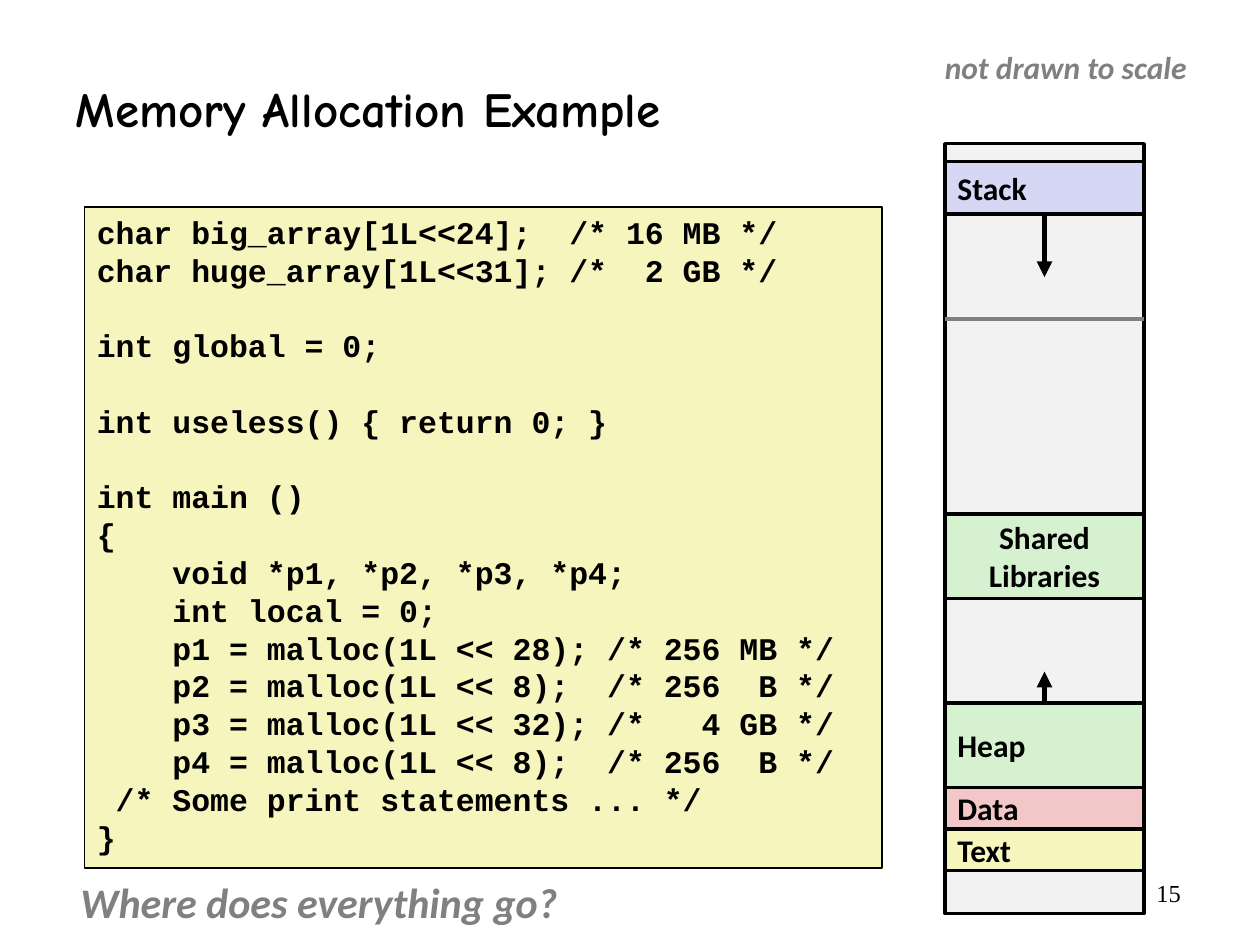
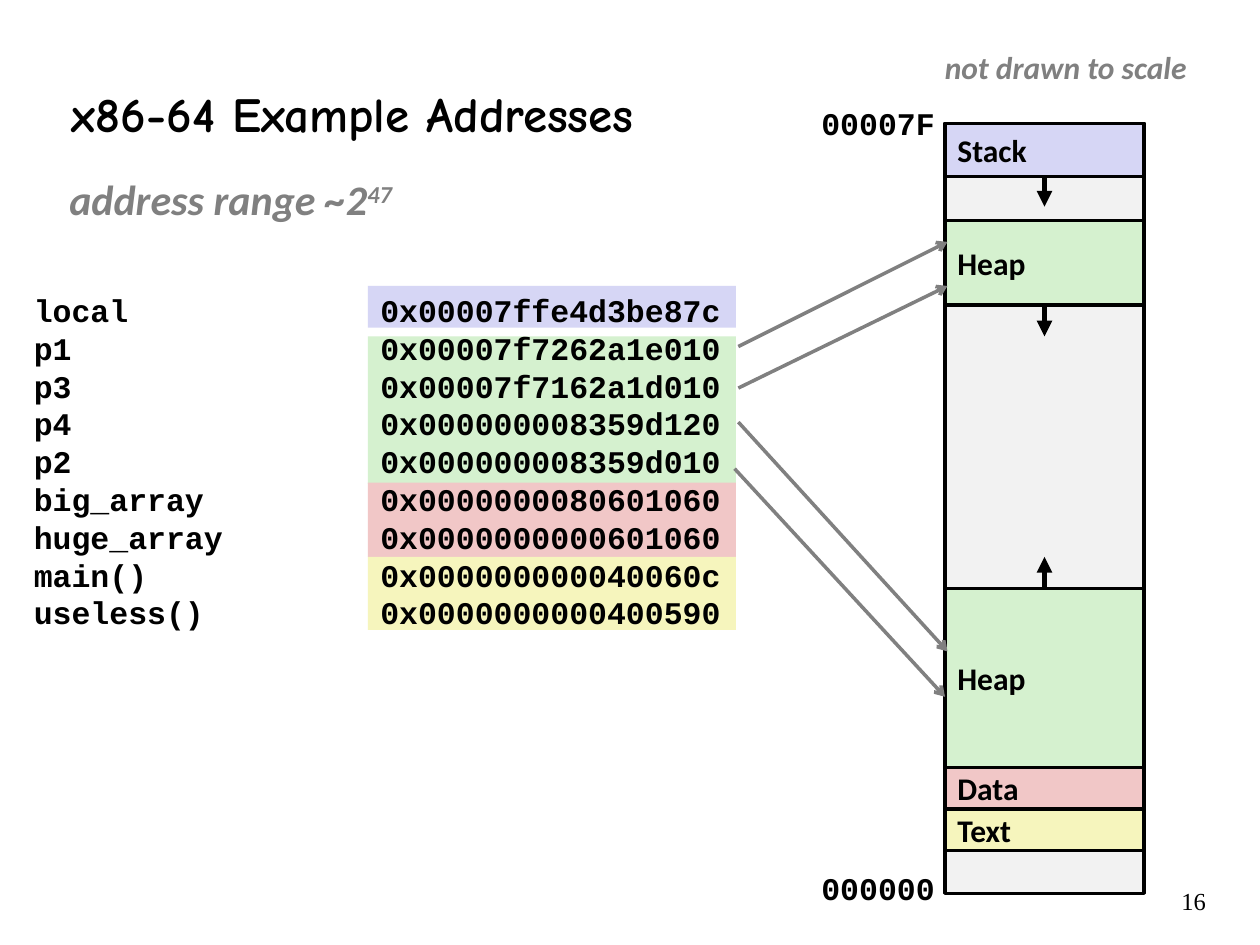
from lxml import etree
from pptx import Presentation
from pptx.dml.color import RGBColor
from pptx.enum.shapes import MSO_CONNECTOR, MSO_SHAPE
from pptx.enum.text import MSO_ANCHOR, MSO_AUTO_SIZE, PP_ALIGN
from pptx.oxml.ns import qn
from pptx.util import Inches, Pt

# Shared colours
BLACK = RGBColor(0x00, 0x00, 0x00)
GRAY = RGBColor(0x80, 0x80, 0x80)
EMPTY = RGBColor(0xF2, 0xF2, 0xF2)
STACK = RGBColor(0xD6, 0xD6, 0xF5)
HEAP = RGBColor(0xD5, 0xF1, 0xCF)
DATA = RGBColor(0xF1, 0xC7, 0xC7)
TEXT = RGBColor(0xF6, 0xF5, 0xBD)

# Shared measures, in inches
MAP_LEFT, MAP_WIDTH, MAP_HEIGHT = 7.5, 1.58, 6.11
MAP_CENTER = MAP_LEFT + MAP_WIDTH / 2
TEXT_OFFSET, DATA_OFFSET, ROW_HEIGHT = 5.44, 5.11, 0.33
CODE_PITCH = Pt(21.6)

CODE = """char big_array[1L<<24];  /* 16 MB */
char huge_array[1L<<31]; /*  2 GB */

int global = 0;

int useless() { return 0; }

int main ()
{
    void *p1, *p2, *p3, *p4;
    int local = 0;
    p1 = malloc(1L << 28); /* 256 MB */
    p2 = malloc(1L << 8);  /* 256  B */
    p3 = malloc(1L << 32); /*   4 GB */
    p4 = malloc(1L << 8);  /* 256  B */
 /* Some print statements ... */
}"""

ADDRESSES = [
    ("local", "0x00007ffe4d3be87c"),
    ("p1", "0x00007f7262a1e010"),
    ("p3", "0x00007f7162a1d010"),
    ("p4", "0x000000008359d120"),
    ("p2", "0x000000008359d010"),
    ("big_array", "0x0000000080601060"),
    ("huge_array", "0x0000000000601060"),
    ("main()", "0x000000000040060c"),
    ("useless()", "0x0000000000400590"),
]


def write(frame, text, size=18, font="Calibri", color=BLACK, bold=True,
          italic=False, align=PP_ALIGN.LEFT, anchor=MSO_ANCHOR.TOP,
          inset=0.1, wrap=True, pitch=None, tab=None, superscript=""):
    """Fill a text frame, one paragraph a line; an empty line becomes space."""
    frame.word_wrap = wrap
    frame.auto_size = MSO_AUTO_SIZE.NONE
    frame.vertical_anchor = anchor
    frame.margin_left = frame.margin_right = Inches(inset)
    frame.margin_top = frame.margin_bottom = Inches(0.05)
    para, gap = None, False
    for line in text.split("\n"):
        if not line:
            gap = True
            continue
        para = frame.add_paragraph() if para else frame.paragraphs[0]
        para.alignment = align
        para.line_spacing = pitch
        para.space_before = pitch if gap else Pt(0)
        gap = False
        if tab:
            tabs = etree.SubElement(para._p.get_or_add_pPr(), qn("a:tabLst"))
            etree.SubElement(tabs, qn("a:tab"), pos=str(Inches(tab)), algn="l")
        for part in filter(None, (line, superscript)):
            span = para.add_run()
            span.text = part
            span.font.size = Pt(size)
            span.font.name = font
            span.font.bold = bold
            span.font.italic = italic
            span.font.color.rgb = color
            if part == superscript:
                span._r.get_or_add_rPr().set("baseline", "30000")


class Painter:
    """Holds the deck, its style and the current page."""

    def __init__(self):
        self.deck = Presentation()
        self.deck.slide_width, self.deck.slide_height = Inches(10), Inches(7.5)
        self.page = None

    def start_page(self, title, left, top, width):
        self.page = self.deck.slides.add_slide(self.deck.slide_layouts[5])
        box = self.page.shapes.title
        box.left, box.top = Inches(left), Inches(top)
        box.width, box.height = Inches(width), Inches(0.63)
        write(box.text_frame, title, size=28, font="Comic Neue",
              anchor=MSO_ANCHOR.MIDDLE)
        self.note("not drawn to scale", 7.4, 0.33, 2.13, 0.4, size=18)

    def text(self, text, left, top, width, height, **style):
        box = self.page.shapes.add_textbox(
            Inches(left), Inches(top), Inches(width), Inches(height))
        write(box.text_frame, text, **style)

    def note(self, text, left, top, width, height, size=24, **style):
        self.text(text, left, top, width, height, size=size, color=GRAY,
                  italic=True, wrap=False, **style)

    def code(self, text, left, top, width, height, **style):
        self.text(text, left, top, width, height, font="Courier New",
                  pitch=CODE_PITCH, **style)

    def number(self, number, left, top):
        self.text(number, left, top, 1.42, 0.5, size=14, bold=False,
                  font="Times New Roman", align=PP_ALIGN.RIGHT)

    def block(self, left, top, width, height, fill, border=None):
        box = self.page.shapes.add_shape(
            MSO_SHAPE.RECTANGLE, Inches(left), Inches(top),
            Inches(width), Inches(height))
        box.shadow.inherit = False
        box.fill.solid()
        box.fill.fore_color.rgb = fill
        if border:
            box.line.color.rgb = BLACK
            box.line.width = Pt(border)
        else:
            box.line.fill.background()
        return box

    def line(self, start, end, color=BLACK, width=3, head=None):
        line = self.page.shapes.add_connector(
            MSO_CONNECTOR.STRAIGHT, *map(Inches, start + end))
        line.line.color.rgb = color
        line.line.width = Pt(width)
        if head:
            etree.SubElement(line.line._get_or_add_ln(), qn("a:tailEnd"),
                             type=head)
        etree.SubElement(line._element.spPr, qn("a:effectLst"))

    def growth(self, top, length):
        self.line((MAP_CENTER, top), (MAP_CENTER, top + length),
                  head="triangle")

    def memory_map(self, top, segments):
        """Draw the memory column; segments are placed from its top."""
        self.block(MAP_LEFT, top, MAP_WIDTH, MAP_HEIGHT, EMPTY, border=2)
        fixed = [("Data", DATA_OFFSET, ROW_HEIGHT, DATA),
                 ("Text", TEXT_OFFSET, ROW_HEIGHT, TEXT)]
        for label, offset, height, fill in segments + fixed:
            box = self.block(MAP_LEFT, top + offset, MAP_WIDTH, height, fill,
                             border=2)
            centered = "\n" in label
            write(box.text_frame, label, anchor=MSO_ANCHOR.MIDDLE,
                  align=PP_ALIGN.CENTER if centered else PP_ALIGN.LEFT)


def allocation_page(painter):
    painter.start_page("Memory Allocation Example", 0.5, 0.54, 7.49)

    # Program listing
    listing = painter.block(0.67, 1.64, 6.33, 5.25, TEXT, border=1)
    write(listing.text_frame, CODE, font="Courier New", pitch=CODE_PITCH)
    painter.note("Where does everything go?", 0.54, 6.91, 4.02, 0.51)

    # Memory column with its growth arrows and stack limit
    painter.memory_map(1.14, [
        ("Stack", 0.14, 0.42, STACK),
        ("Shared\nLibraries", 2.94, 0.67, HEAP),
        ("Heap", 4.44, 0.67, HEAP),
    ])
    painter.growth(1.7, 0.5)
    painter.growth(5.58, -0.25)
    painter.line((MAP_LEFT, 2.53), (MAP_LEFT + MAP_WIDTH, 2.53), GRAY, 2)
    painter.number("15", 8.05, 6.92)


def address_page(painter):
    painter.start_page("x86-64 Example Addresses", 0.47, 0.58, 7.19)
    painter.note("address range ~2", 0.5, 1.33, 2.71, 0.51, inset=0.05,
                 superscript="47")

    # Address list over bands in the segment colours
    for top, height, fill in [(2.27, 0.33, STACK), (2.67, 1.17, HEAP),
                              (3.83, 0.59, DATA), (4.42, 0.58, TEXT)]:
        painter.block(2.92, top, 2.92, height, fill)
    rows = "\n".join("\t".join(row) for row in ADDRESSES)
    painter.code(rows, 0.17, 2.26, 6.17, 2.82, tab=2.75)

    # Memory column with its end addresses and growth arrows
    painter.code("00007F", 6.42, 0.78, 1.11, 0.4, wrap=False)
    painter.code("000000", 6.42, 6.85, 1.11, 0.4, wrap=False)
    painter.memory_map(0.98, [
        ("Stack", 0, 0.42, STACK),
        ("Heap", 0.77, 0.67, HEAP),
        ("Heap", 3.69, 1.42, HEAP),
    ])
    for top, length in [(1.39, 0.25), (2.42, 0.25), (4.67, -0.25)]:
        painter.growth(top, length)

    # Pointers from the addresses to the heaps
    for start, end in [((5.86, 2.75), (7.52, 1.92)),
                       ((5.86, 3.08), (7.52, 2.27)),
                       ((5.86, 3.35), (7.52, 5.17)),
                       ((5.83, 3.72), (7.5, 5.53))]:
        painter.line(start, end, GRAY, 2, head="arrow")
    painter.number("16", 8.25, 6.98)


def main():
    painter = Painter()
    allocation_page(painter)
    address_page(painter)
    painter.deck.save("out.pptx")


if __name__ == "__main__":
    main()
